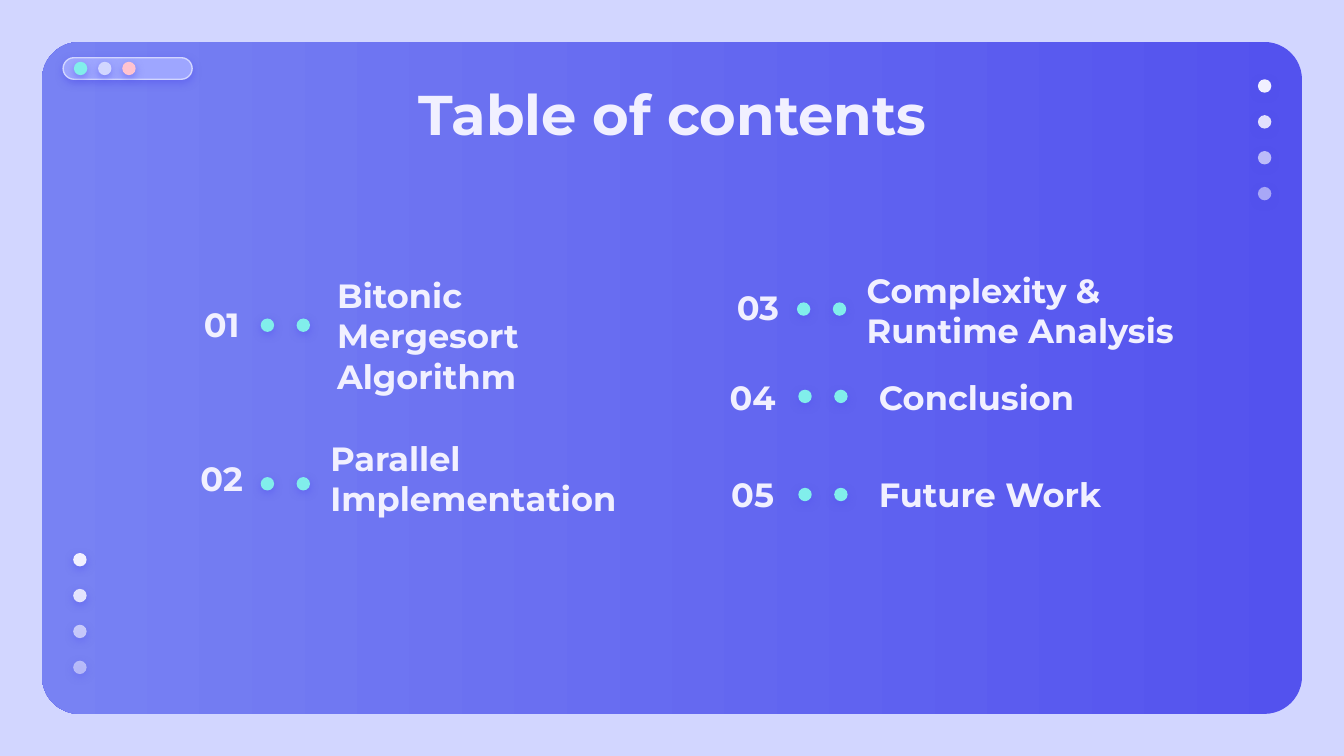
"""Build a table of contents slide with five numbered entries."""
from dataclasses import dataclass

from lxml import etree
from pptx import Presentation
from pptx import util as u
from pptx.dml.color import RGBColor
from pptx.enum import shapes, text
from pptx.oxml.ns import qn

WIDTH, HEIGHT = u.Inches(10), u.Inches(5.625)
CELL = WIDTH / 1000
DOT = 10
ROW = 27
STEP = 26.7
PAD = u.Inches(0.1)

LAVENDER = RGBColor(0xD2, 0xD6, 0xFF)
INDIGO = RGBColor(0x53, 0x52, 0xEE)
PERIWINKLE = RGBColor(0x78, 0x82, 0xF3)
PILL = RGBColor(0x9E, 0xA6, 0xFF)
AQUA = RGBColor(0x81, 0xEE, 0xEB)
PINK = RGBColor(0xFF, 0xC3, 0xD0)
WHITE = RGBColor(0xF1, 0xF0, 0xFF)

FADE = (100, 90, 67, 54)


@dataclass(frozen=True)
class Spot:
    column: float
    row: float


@dataclass(frozen=True)
class Entry:
    number: str
    title: str
    number_spot: Spot
    dots_spot: Spot
    title_spot: Spot


ENTRIES = (
    Entry("01", "Bitonic Mergesort", Spot(117, 228), Spot(194, 237), Spot(241, 221)),
    Entry("02", "Parallel\vImplementation", Spot(117, 342), Spot(194, 355), Spot(236, 342)),
    Entry("03", "Complexity & Runtime Analysis", Spot(516, 215), Spot(593, 225), Spot(635, 217)),
    Entry("04", "Conclusion", Spot(512, 282), Spot(594, 290), Spot(644, 282)),
    Entry("05", "Future Work", Spot(512, 354), Spot(594, 363), Spot(644, 354)),
)


def place(shape, spot: Spot, columns: float, rows: float) -> None:
    """Put a shape on the grid."""
    shape.left, shape.top = round(spot.column * CELL), round(spot.row * CELL)
    shape.width, shape.height = round(columns * CELL), round(rows * CELL)


def add_form(slide, kind, spot: Spot, columns: float, rows: float):
    """Add a shape without line or shadow."""
    shape = slide.shapes.add_shape(kind, 0, 0, 0, 0)
    place(shape, spot, columns, rows)
    shape.line.fill.background()
    shape.shadow.inherit = False
    return shape


def set_alpha(color, percent: int) -> None:
    """Give a colour element an opacity."""
    etree.SubElement(color, qn("a:alpha"), val=str(percent * 1000))


def add_glow(shape) -> None:
    """Give a shape a soft indigo shadow below it."""
    effects = shape.element.spPr.find(qn("a:effectLst"))
    shadow = etree.SubElement(
        effects, qn("a:outerShdw"), blurRad=str(u.Pt(4.5)), dist=str(u.Pt(1.5)),
        dir="5400000", algn="bl", rotWithShape="0")
    set_alpha(etree.SubElement(shadow, qn("a:srgbClr"), val=str(INDIGO)), 50)


def add_dot(slide, spot: Spot, color: RGBColor, opacity: int = 100) -> None:
    """Add one glowing dot."""
    dot = add_form(slide, shapes.MSO_SHAPE.OVAL, spot, DOT, DOT)
    dot.fill.solid()
    dot.fill.fore_color.rgb = color
    if opacity < 100:
        set_alpha(dot.element.spPr.find(".//" + qn("a:srgbClr")), opacity)
    add_glow(dot)


def write(box, words: str, *, size: float = 18, align=text.PP_ALIGN.LEFT,
          anchor=text.MSO_ANCHOR.MIDDLE) -> None:
    """Fill a text box or placeholder with formatted text."""
    frame = box.text_frame
    frame.word_wrap = True
    frame.auto_size = text.MSO_AUTO_SIZE.NONE
    frame.vertical_anchor = anchor
    frame.margin_left = frame.margin_right = PAD
    frame.margin_top = frame.margin_bottom = PAD
    para = frame.paragraphs[0]
    para.text = words
    para.alignment = align
    for span in para.runs:
        span.font.name, span.font.size, span.font.bold = "Montserrat", u.Pt(size), True
        span.font.color.rgb = WHITE


def add_label(slide, words: str, spot: Spot, columns: float, **style) -> None:
    """Add a one-row text box."""
    box = slide.shapes.add_textbox(0, 0, 0, 0)
    place(box, spot, columns, ROW)
    write(box, words, **style)


def add_backdrop(slide) -> None:
    """Draw the panel, the window pill and the fading dot columns."""
    slide.background.fill.solid()
    slide.background.fill.fore_color.rgb = LAVENDER
    rounded = shapes.MSO_SHAPE.ROUNDED_RECTANGLE
    panel = add_form(slide, rounded, Spot(31.25, 31.25), 937.5, 500)
    panel.adjustments[0] = 0.056
    panel.fill.gradient()
    panel.fill.gradient_angle = 180
    for stop, color in zip(panel.fill.gradient_stops, (INDIGO, PERIWINKLE)):
        stop.color.rgb = color
    panel.fill.gradient_stops[0].position = 0
    panel.fill.gradient_stops[1].position = 1

    pill = add_form(slide, rounded, Spot(47, 43), 96, 16)
    pill.adjustments[0] = 0.5
    pill.fill.solid()
    pill.fill.fore_color.rgb = PILL
    pill.line.color.rgb = LAVENDER
    pill.line.width = u.Pt(0.75)
    add_glow(pill)
    for index, color in enumerate((AQUA, LAVENDER, PINK)):
        add_dot(slide, Spot(55 + 18 * index, 46), color)
    for start in (Spot(936, 59), Spot(54.5, 411.5)):
        for index, opacity in enumerate(FADE):
            add_dot(slide, Spot(start.column, start.row + STEP * index), WHITE, opacity)


def add_entry(slide, entry: Entry) -> None:
    """Draw a number, its two dots and its title."""
    add_label(slide, entry.number, entry.number_spot, 96, align=text.PP_ALIGN.CENTER)
    for index in range(2):
        add_dot(slide, Spot(entry.dots_spot.column + STEP * index, entry.dots_spot.row), AQUA)
    add_label(slide, entry.title, entry.title_spot, 252)


def main() -> None:
    """Build and save the deck."""
    deck = Presentation()
    deck.slide_width, deck.slide_height = WIDTH, HEIGHT
    slide = deck.slides.add_slide(deck.slide_layouts[5])
    add_backdrop(slide)

    title = slide.shapes.title
    title.element.getparent().append(title.element)
    place(title, Spot(79, 49), 843, 63)
    write(title, "Table of contents", size=30, align=text.PP_ALIGN.CENTER,
          anchor=text.MSO_ANCHOR.TOP)

    for entry in ENTRIES:
        add_entry(slide, entry)
    add_label(slide, "Algorithm", Spot(241, 266), 252)
    deck.save("out.pptx")


if __name__ == "__main__":
    main()
